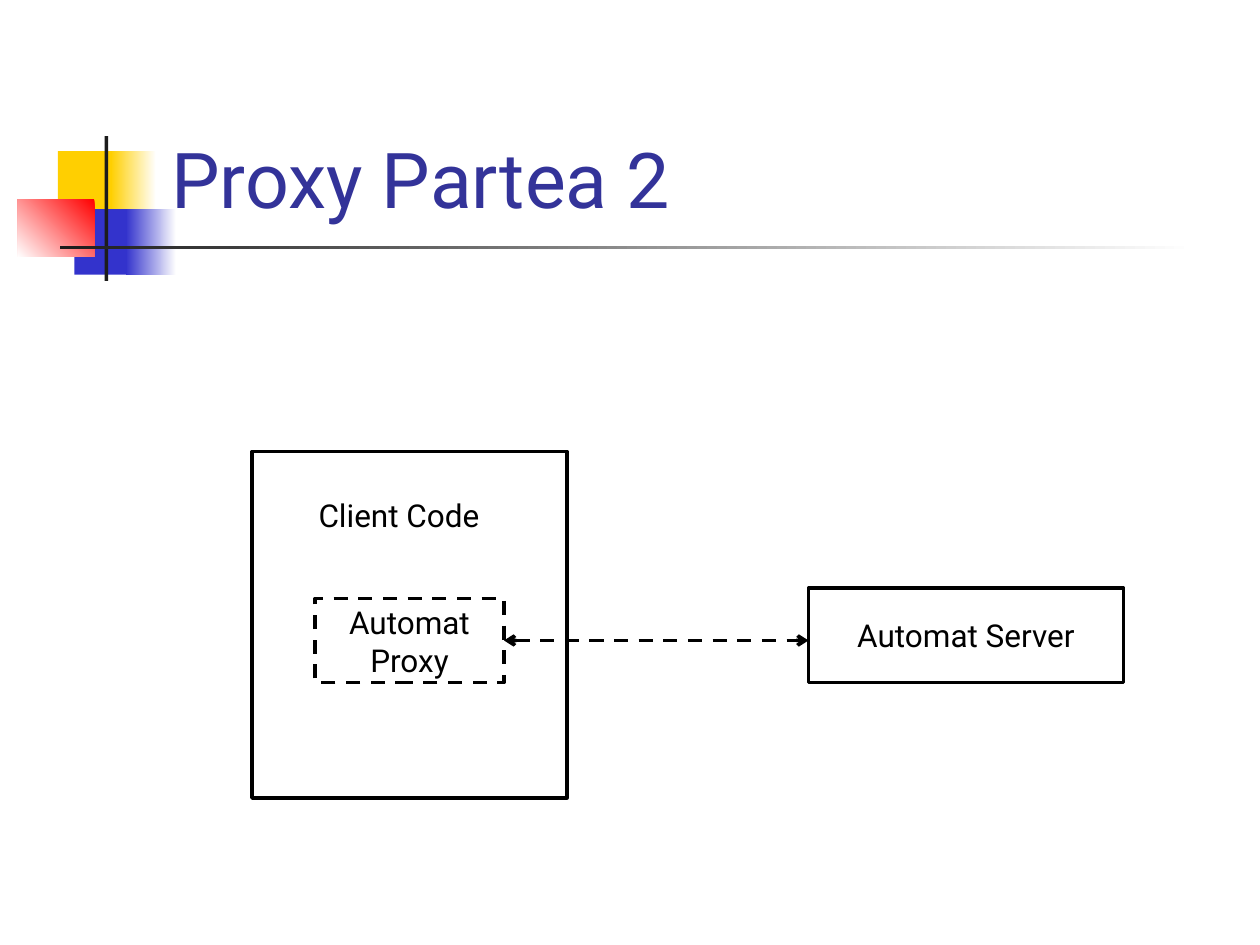
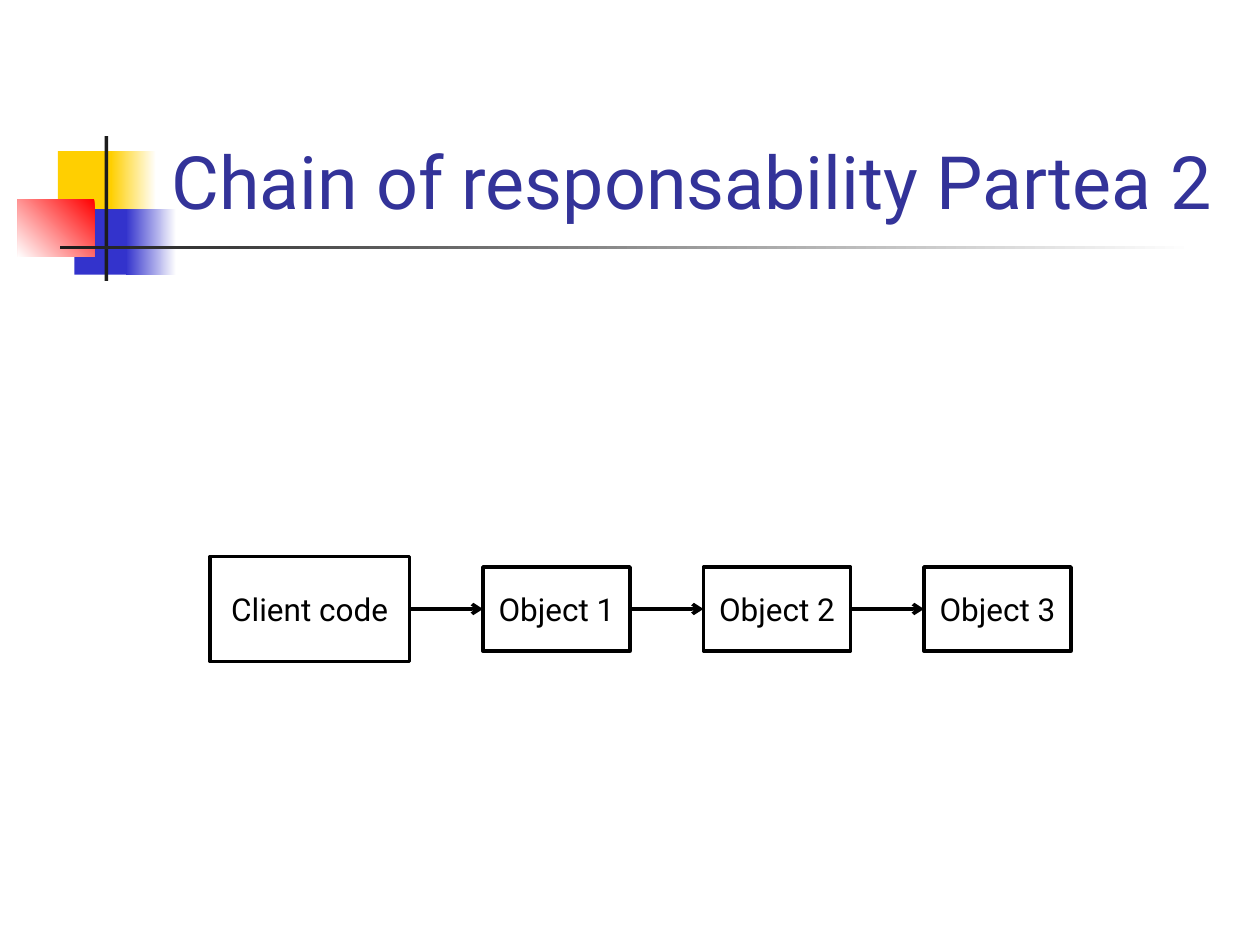
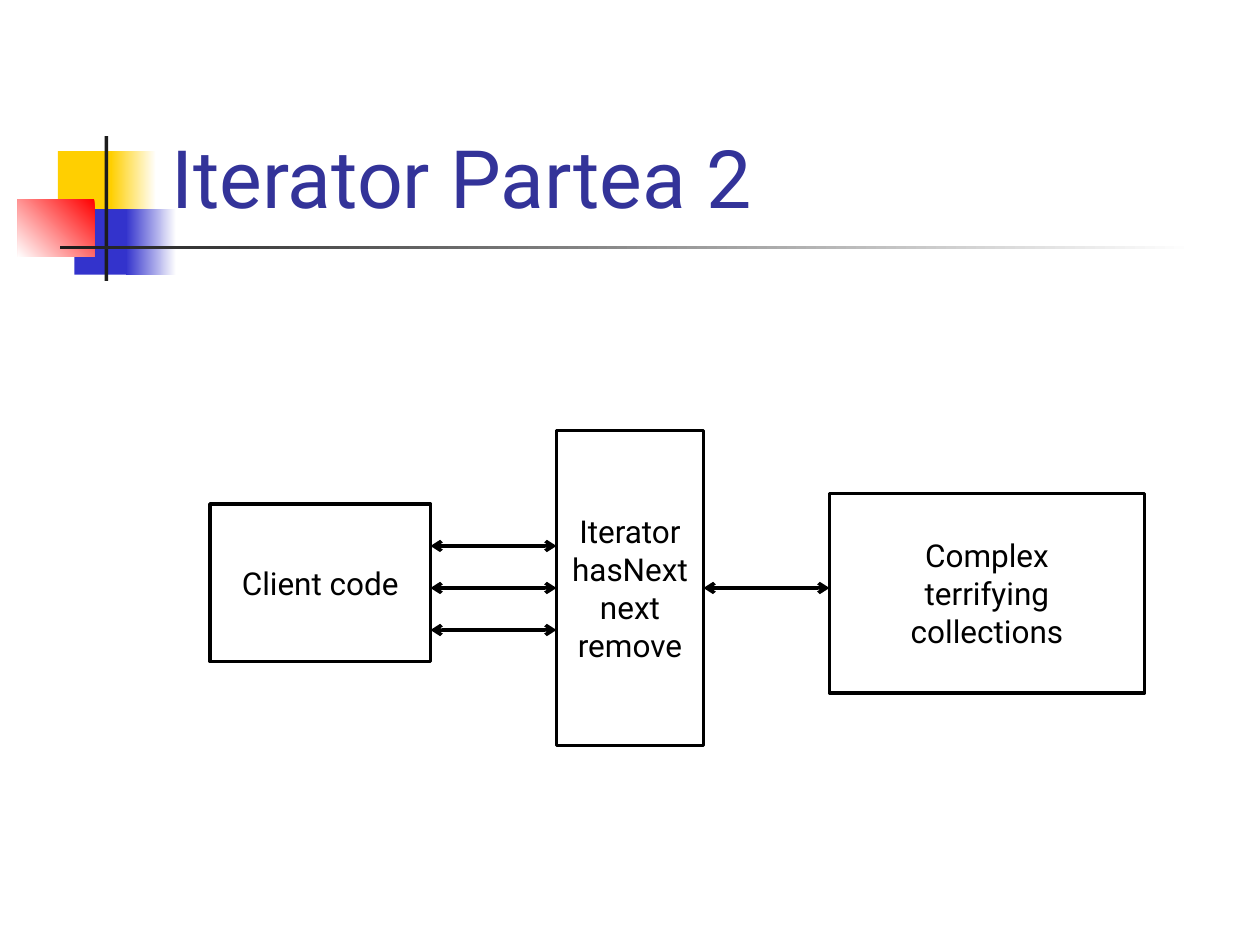
from dataclasses import dataclass

from lxml.etree import SubElement
from pptx import Presentation
from pptx.dml.color import RGBColor
from pptx.enum.dml import MSO_LINE
from pptx.enum.shapes import MSO_CONNECTOR, MSO_SHAPE
from pptx.enum.text import MSO_ANCHOR, MSO_AUTO_SIZE, PP_ALIGN
from pptx.oxml.ns import qn
from pptx.util import Inches, Pt

# Shared look
FONT = "Roboto"
WHITE, BLACK, CHARCOAL = "FFFFFF", "000000", "1C1C1C"
YELLOW, BLUE, RED, TITLE_BLUE = "FFCF01", "3333CC", "FF0000", "333399"
LINE_WIDTH = 2
TEXT_SIZE = 18

# The slide is a grid of 120 columns and 90 rows
COLUMNS, ROWS = 120, 90
SLIDE_WIDTH, SLIDE_HEIGHT = Inches(10), Inches(7.5)


@dataclass(frozen=True)
class Area:
    column: float
    row: float
    columns: float
    rows: float

    @property
    def right(self) -> float:
        return self.column + self.columns

    def place(self) -> tuple:
        return (across(self.column), down(self.row),
                across(self.columns), down(self.rows))


@dataclass(frozen=True)
class Ornament:
    area: Area
    color: str
    fade_to: str = ""
    angle: float = 180


@dataclass(frozen=True)
class Box:
    area: Area
    text: str = ""
    outlined: bool = True
    dashed: bool = False


@dataclass(frozen=True)
class Arrow:
    source: Box
    target: Box
    row: float
    both_ends: bool = True
    dashed: bool = False


@dataclass(frozen=True)
class Diagram:
    title: str
    title_size: int
    boxes: list
    arrows: list


TITLE_AREA = Area(15.12, 2.76, 102.24, 19.2)
ORNAMENTS = [
    Ornament(Area(5.52, 14.4, 5.76, 6.24), YELLOW),
    Ornament(Area(10.56, 14.4, 4.32, 6.24), WHITE, YELLOW),
    Ornament(Area(7.08, 19.92, 5.52, 6.24), BLUE),
    Ornament(Area(12, 19.92, 4.8, 6.24), WHITE, BLUE),
    Ornament(Area(1.68, 18.96, 7.32, 5.52), RED, WHITE, angle=225),
    Ornament(Area(9.96, 12.96, 0.36, 13.8), CHARCOAL),
    Ornament(Area(5.76, 23.4, 108, 0.36), WHITE, CHARCOAL),
]


def across(columns: float) -> int:
    return round(SLIDE_WIDTH * columns / COLUMNS)


def down(rows: float) -> int:
    return round(SLIDE_HEIGHT * rows / ROWS)


def rgb(color: str) -> RGBColor:
    return RGBColor.from_string(color)


def write_text(shape, text: str, *, size: int = TEXT_SIZE, color: str = BLACK,
               align=PP_ALIGN.CENTER, anchor=MSO_ANCHOR.MIDDLE,
               wrap: bool = False) -> None:
    frame = shape.text_frame
    frame.text = text
    frame.auto_size = MSO_AUTO_SIZE.NONE
    frame.word_wrap = wrap
    frame.vertical_anchor = anchor
    for paragraph in frame.paragraphs:
        paragraph.alignment = align
        font = paragraph.font
        font.name, font.size = FONT, Pt(size)
        font.color.rgb = rgb(color)


def format_line(line, dashed: bool) -> None:
    line.color.rgb = rgb(BLACK)
    line.width = Pt(LINE_WIDTH)
    if dashed:
        line.dash_style = MSO_LINE.DASH


def draw_ornament(slide, ornament: Ornament):
    shape = slide.shapes.add_shape(MSO_SHAPE.RECTANGLE, *ornament.area.place())
    shape.shadow.inherit = False
    shape.line.fill.background()
    if ornament.fade_to:
        shape.fill.gradient()
        shape.fill.gradient_angle = ornament.angle
        colors = (ornament.color, ornament.fade_to)
        for stop, color in zip(shape.fill.gradient_stops, colors):
            stop.color.rgb = rgb(color)
    else:
        shape.fill.solid()
        shape.fill.fore_color.rgb = rgb(ornament.color)
    return shape


def decorate_layout(slide) -> None:
    """Draw the ornaments once and move them to the layout behind the slide."""
    layout_tree = slide.slide_layout.shapes.element
    for number, ornament in enumerate(ORNAMENTS, start=100):
        element = draw_ornament(slide, ornament).element
        element.nvSpPr.cNvPr.set("id", str(number))
        layout_tree.append(element)


def draw_box(slide, box: Box) -> None:
    if box.outlined:
        shape = slide.shapes.add_shape(MSO_SHAPE.RECTANGLE, *box.area.place())
        shape.shadow.inherit = False
        shape.fill.background()
        format_line(shape.line, box.dashed)
    else:
        shape = slide.shapes.add_textbox(*box.area.place())
    if box.text:
        write_text(shape, box.text)


def draw_arrow(slide, arrow: Arrow) -> None:
    height = down(arrow.row)
    connector = slide.shapes.add_connector(
        MSO_CONNECTOR.STRAIGHT, across(arrow.source.area.right), height,
        across(arrow.target.area.column), height)
    format_line(connector.line, arrow.dashed)
    properties = connector.element.spPr
    line = properties.find(qn("a:ln"))
    ends = ["a:headEnd", "a:tailEnd"] if arrow.both_ends else ["a:tailEnd"]
    for end in ends:
        SubElement(line, qn(end), type="arrow")
    SubElement(properties, qn("a:effectLst"))


def draw_diagram(slide, diagram: Diagram) -> None:
    title = slide.shapes.title
    title.left, title.top, title.width, title.height = TITLE_AREA.place()
    write_text(title, diagram.title, size=diagram.title_size, color=TITLE_BLUE,
               align=PP_ALIGN.LEFT, anchor=MSO_ANCHOR.BOTTOM, wrap=True)
    for box in diagram.boxes:
        draw_box(slide, box)
    for arrow in diagram.arrows:
        draw_arrow(slide, arrow)


def proxy_diagram() -> Diagram:
    client = Box(Area(24, 43, 30, 33))
    server = Box(Area(77, 56, 30, 9), "Automat Server")
    proxy = Box(Area(30, 57, 18, 8), "Automat\nProxy", dashed=True)
    label = Box(Area(28, 47, 20, 4), "Client Code", outlined=False)
    return Diagram("Proxy Partea 2", 44, [client, server, proxy, label],
                   [Arrow(proxy, server, 61, dashed=True)])


def chain_diagram() -> Diagram:
    client = Box(Area(20, 53, 19, 10), "Client code")
    handlers = [Box(Area(46 + 21 * index, 54, 14, 8), f"Object {index + 1}")
                for index in range(3)]
    chain = [client, *handlers]
    return Diagram("Chain of responsability Partea 2", 42, chain,
                   [Arrow(source, target, 58, both_ends=False)
                    for source, target in zip(chain, handlers)])


def iterator_diagram() -> Diagram:
    client = Box(Area(20, 48, 21, 15), "Client code")
    collections = Box(Area(79, 47, 30, 19), "Complex\nterrifying\ncollections")
    iterator = Box(Area(53, 41, 14, 30), "Iterator\nhasNext\nnext\nremove")
    calls = [Arrow(client, iterator, row) for row in (52, 56, 60)]
    return Diagram("Iterator Partea 2", 46, [client, collections, iterator],
                   [Arrow(iterator, collections, 56), *calls])


def main() -> None:
    presentation = Presentation()
    presentation.slide_width = SLIDE_WIDTH
    presentation.slide_height = SLIDE_HEIGHT
    title_only = presentation.slide_layouts[5]
    diagrams = [proxy_diagram(), chain_diagram(), iterator_diagram()]
    for index, diagram in enumerate(diagrams):
        slide = presentation.slides.add_slide(title_only)
        if index == 0:
            decorate_layout(slide)
        draw_diagram(slide, diagram)
    presentation.save("out.pptx")


if __name__ == "__main__":
    main()
